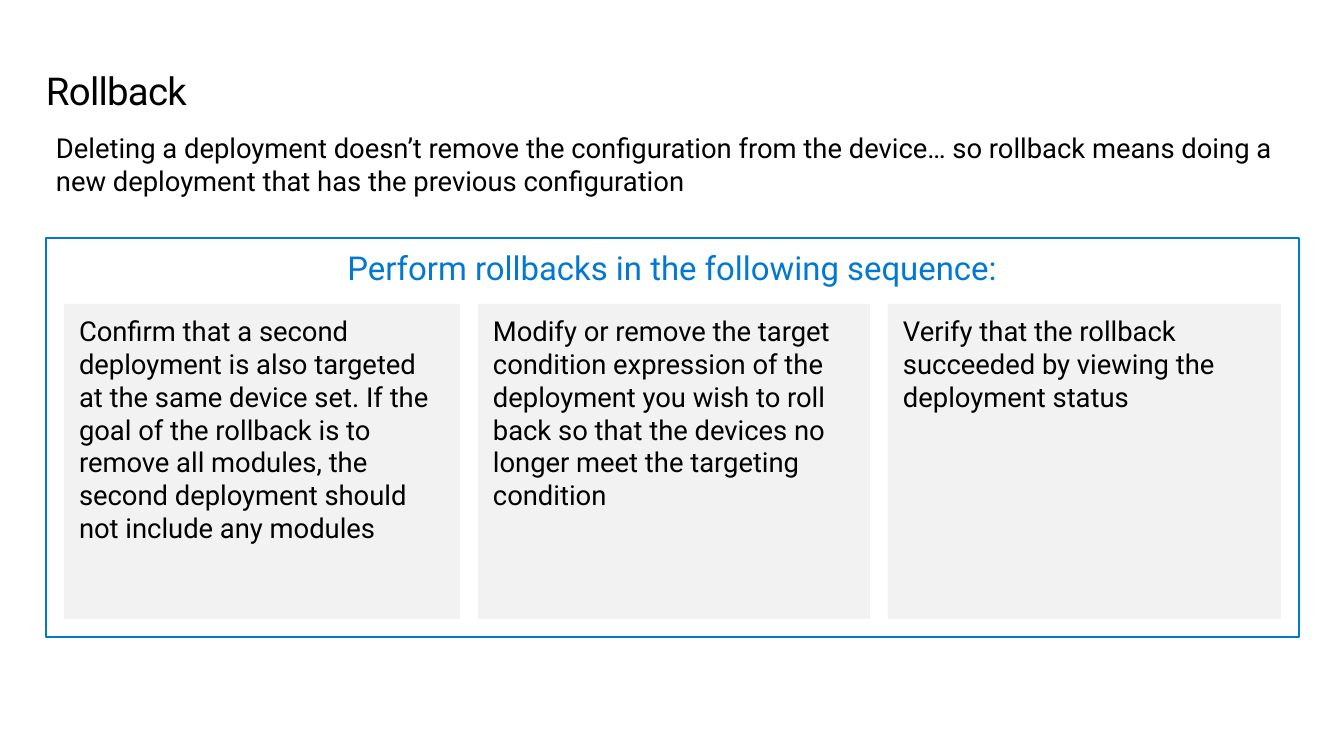
"""Build the Rollback slide: title, introduction and a framed row of three steps."""
import pptx
import pptx.dml.color
import pptx.enum.shapes
import pptx.enum.text
import pptx.util

TITLE = "Rollback"
INTRO = (
    "Deleting a deployment doesn’t remove the configuration from the device… "
    "so rollback means doing a new deployment that has the previous configuration"
)
HEADING = "Perform rollbacks in the following sequence:"
STEPS = [
    (396, "Confirm that a second deployment is also targeted at the same device set. "
          "If the goal of the rollback is to remove all modules, the second deployment "
          "should not include any modules"),
    (392, "Modify or remove the target condition expression of the deployment you wish "
          "to roll back so that the devices no longer meet the targeting condition"),
    (393, "Verify that the rollback succeeded by viewing the deployment status"),
]

THEME = {
    "font": "Roboto",
    "ink": "000000", "accent": "0078D4", "card": "F2F2F2",
    "title": 27.4, "heading": 23.5, "body": 19.6,
    "border": 1.5,
}

SLIDE_SIZE = (1344, 756)
TITLE_BOX = (46, 69, 1251, 44)
INTRO_BOX = (46, 131, 1252, 67)
FRAME = (46, 238, 1253, 399)
CARD_LEFT, CARD_TOP, CARD_HEIGHT, CARD_GAP = 64, 304, 315, 18
PANEL_INSETS = (15, 10, 15, 10)


def px(n):
    return pptx.util.Emu(round(n * 914400 / 100.8))


def rgb(name):
    return pptx.dml.color.RGBColor.from_string(THEME[name])


def write(sp, text, size, color="ink", insets=(0, 0, 0, 0), align="LEFT",
          before=0, after=0):
    tf = sp.text_frame
    tf.word_wrap = True
    tf.vertical_anchor = pptx.enum.text.MSO_ANCHOR.TOP
    tf.margin_left, tf.margin_top, tf.margin_right, tf.margin_bottom = map(px, insets)
    p = tf.paragraphs[0]
    p.alignment = getattr(pptx.enum.text.PP_ALIGN, align)
    p.space_before = pptx.util.Pt(before)
    p.space_after = pptx.util.Pt(after)
    r = p.add_run()
    r.text = text
    r.font.name = THEME["font"]
    r.font.size = pptx.util.Pt(THEME[size])
    r.font.color.rgb = rgb(color)
    return p, r


def add_text(s, box, text, size, **style):
    return write(s.shapes.add_textbox(*map(px, box)), text, size, **style)


def add_panel(s, box, fill=None, line=None):
    sp = s.shapes.add_shape(pptx.enum.shapes.MSO_SHAPE.RECTANGLE, *map(px, box))
    sp.shadow.inherit = False
    if fill:
        sp.fill.solid()
        sp.fill.fore_color.rgb = rgb(fill)
    else:
        sp.fill.background()
    if line:
        sp.line.color.rgb = rgb(line)
        sp.line.width = pptx.util.Pt(THEME["border"])
    else:
        sp.line.fill.background()
    return sp


def main():
    prs = pptx.Presentation()
    prs.slide_width, prs.slide_height = map(px, SLIDE_SIZE)
    s = prs.slides.add_slide(prs.slide_layouts[6])

    p, r = add_text(s, TITLE_BOX, TITLE, "title")
    p.line_spacing = pptx.util.Pt(31.4)
    r.font._element.set("spc", "-50")
    add_text(s, INTRO_BOX, INTRO, "body", insets=(10, 0, 0, 0), before=2, after=4)

    write(add_panel(s, FRAME, line="accent"), HEADING, "heading", color="accent",
          insets=PANEL_INSETS, align="CENTER", before=2.9, after=2.9)

    left = CARD_LEFT
    for width, text in STEPS:
        card = add_panel(s, (left, CARD_TOP, width, CARD_HEIGHT), fill="card")
        write(card, text, "body", insets=PANEL_INSETS)
        left += width + CARD_GAP

    prs.save("out.pptx")


if __name__ == "__main__":
    main()
